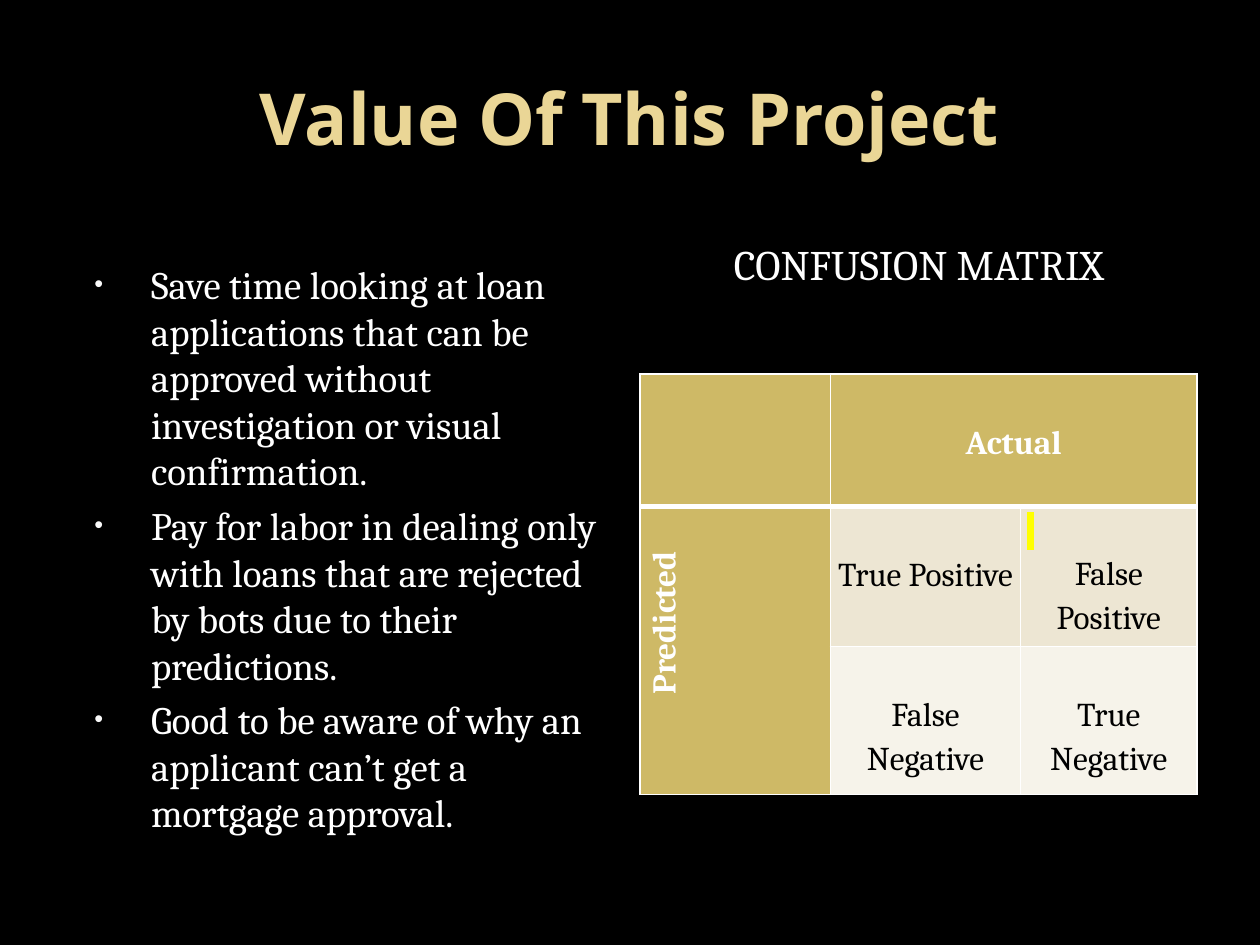
from dataclasses import dataclass

from lxml import etree
from pptx import Presentation
from pptx.dml.color import RGBColor
from pptx.enum import text
from pptx.oxml import ns
from pptx.util import Pt


@dataclass(frozen=True)
class Theme:
    background: str = "000000"
    title: str = "EAD696"
    light: str = "FFFFFF"
    dark: str = "000000"
    bullet: str = "F9F9F9"
    header: str = "CEB966"
    band_1: str = "EDE6D3"
    band_2: str = "F6F3EA"
    mark: str = "FFFF00"
    title_font: str = "Open Sans"
    body_font: str = "Cambria"
    title_size: float = 41
    heading_size: float = 24
    body_size: float = 22.2
    cell_size: float = 19


T = Theme()
CENTER = text.PP_ALIGN.CENTER
LINE = 25.5  # height of one line of table text


def rgb(value):
    return RGBColor.from_string(value)


def child(parent, tag, **attrs):
    return etree.SubElement(parent, ns.qn(tag), attrs)


def style(p, size, color, name=T.body_font, bold=False, align=None):
    p.alignment = align
    p.font.size = Pt(size)
    p.font.name = name
    p.font.bold = bold
    p.font.color.rgb = rgb(color)


def text_frame(s, box, anchor=text.MSO_ANCHOR.TOP):
    tf = s.shapes.add_textbox(*map(Pt, box)).text_frame
    tf.word_wrap = True
    tf.vertical_anchor = anchor
    return tf


def add_heading(s, box, words, size, color, name=T.body_font, bold=False):
    tf = text_frame(s, box, text.MSO_ANCHOR.MIDDLE)
    tf.text = words
    style(tf.paragraphs[0], size, color, name, bold, CENTER)


def add_bullets(s, box, items):
    tf = text_frame(s, box)
    tf.text = "\n".join(items)
    for p in tf.paragraphs:
        pPr = p._p.get_or_add_pPr()
        pPr.set("marL", str(Pt(43.2)))
        pPr.set("indent", str(Pt(-32.4)))
        child(child(pPr, "a:buClr"), "a:srgbClr", val=T.bullet)
        child(pPr, "a:buSzPct", val="65000")
        child(pPr, "a:buFont", typeface="Arial")
        child(pPr, "a:buChar", char="•")
        p.space_before = Pt(0.2 * T.body_size)
        style(p, T.body_size, T.light)


def set_borders(cell, **widths):
    tcPr = cell._tc.get_or_add_tcPr()
    for side in "LRTB":
        ln = child(tcPr, f"a:ln{side}", w=str(Pt(widths.get(side, 1))))
        child(child(ln, "a:solidFill"), "a:srgbClr", val=T.light)


def fill_cell(cell, words, color, bold=False):
    cell.margin_left = cell.margin_right = Pt(3.6)
    cell.margin_top, cell.margin_bottom = Pt(LINE), 0
    cell.text = words
    for p in cell.text_frame.paragraphs:
        style(p, T.cell_size, color, bold=bold, align=CENTER)
        p.line_spacing = 1.15


def mark_first_line(cell):
    """Highlight the single space on the first line of a cell."""
    cell.margin_top = 0
    p = cell.text_frame.paragraphs[0]
    p.alignment = text.PP_ALIGN.LEFT
    rPr = p.runs[0]._r.get_or_add_rPr()
    child(child(rPr, "a:highlight"), "a:srgbClr", val=T.mark)


def add_matrix(s, box, columns, rows):
    table = s.shapes.add_table(len(rows), len(columns), *map(Pt, box)).table
    for column, width in zip(table.columns, columns):
        column.width = Pt(width)
    for row, height in zip(table.rows, rows):
        row.height = Pt(height)

    # Borders, with a heavy rule under the header, then fills
    for r in range(len(rows)):
        for c in range(len(columns)):
            cell = table.cell(r, c)
            set_borders(cell, B=3 if r == 0 else 1, T=3 if r == 1 else 1)
            band = T.band_1 if r == 1 else T.band_2
            cell.fill.solid()
            cell.fill.fore_color.rgb = rgb(T.header if 0 in (r, c) else band)

    # Headers
    actual, predicted = table.cell(0, 1), table.cell(1, 0)
    actual.merge(table.cell(0, 2))
    predicted.merge(table.cell(2, 0))
    fill_cell(actual, "Actual", T.light, bold=True)
    fill_cell(predicted, "Predicted", T.light, bold=True)
    predicted._tc.get_or_add_tcPr().set("vert", "vert270")
    predicted.margin_left, predicted.margin_top = Pt(3.6 + LINE), 0
    predicted.text_frame.paragraphs[0]._p.get_or_add_pPr().set("marL", str(Pt(6)))

    # Outcomes
    outcomes = [["True Positive", "\u00a0\nFalse Positive"],
                ["False Negative", "True Negative"]]
    for r, line in enumerate(outcomes, 1):
        for c, words in enumerate(line, 1):
            fill_cell(table.cell(r, c), words, T.dark)
    mark_first_line(table.cell(1, 2))


def main():
    prs = Presentation()
    prs.slide_width, prs.slide_height = Pt(720), Pt(540)
    s = prs.slides.add_slide(prs.slide_layouts[6])
    s.background.fill.solid()
    s.background.fill.fore_color.rgb = rgb(T.background)

    # Title
    add_heading(s, (36, 21.6, 648, 90), "Value Of This Project",
                T.title_size, T.title, T.title_font, bold=True)

    # Left column
    add_bullets(s, (36, 145.4, 318.2, 337), [
        "Save time looking at loan applications that can be approved "
        "without investigation or visual confirmation.",
        "Pay for labor in dealing only with loans that are rejected by "
        "bots due to their predictions.",
        "Good to be aware of why an applicant can’t get a mortgage approval.",
    ])

    # Right column
    add_heading(s, (365.8, 121, 318.2, 59), "CONFUSION MATRIX",
                T.heading_size, T.light)
    add_matrix(s, (365.8, 213.8, 318.2, 240.5),
               columns=(108.7, 108.7, 100.8), rows=(75.6, 80, 84.6))

    prs.save("out.pptx")


if __name__ == "__main__":
    main()
